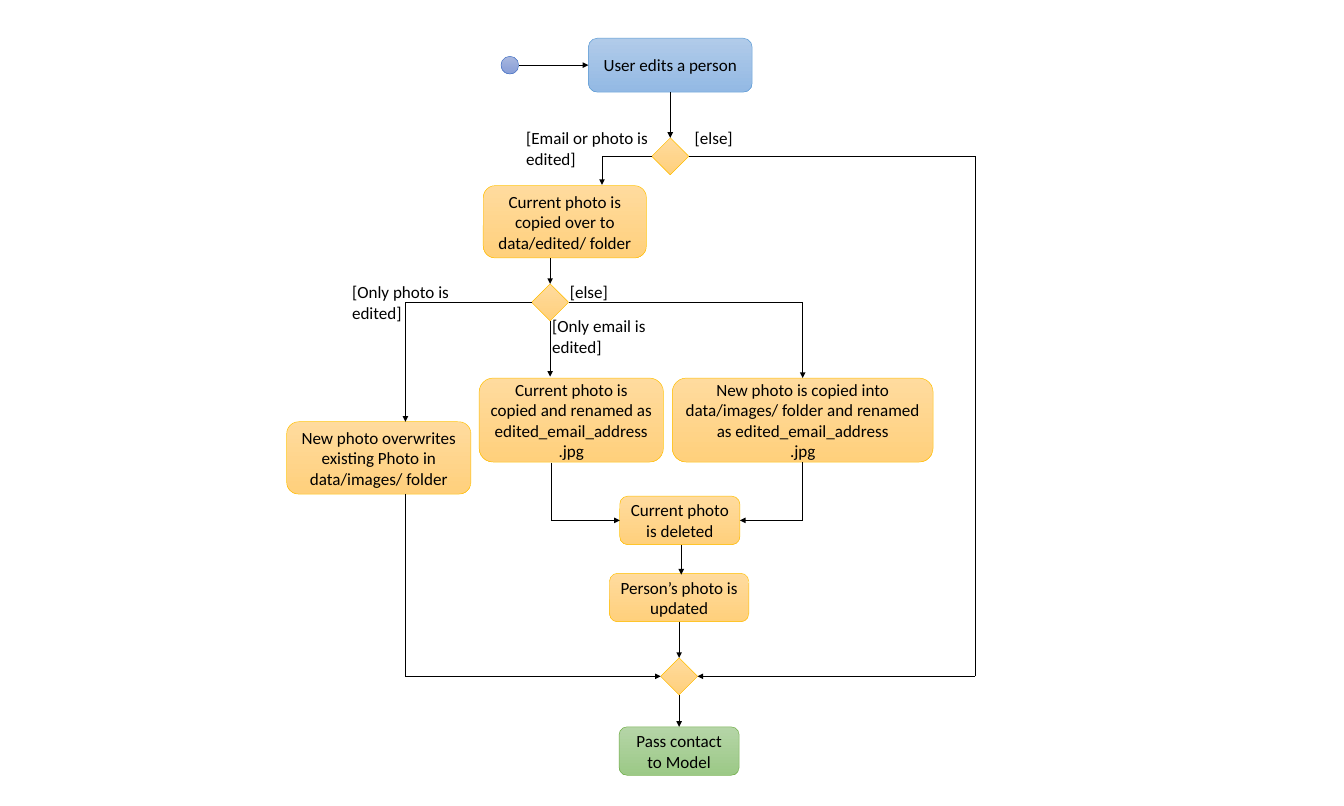
from dataclasses import dataclass

from lxml import etree
from pptx import Presentation
from pptx import util as u
from pptx.dml.color import RGBColor
from pptx.enum import shapes, text
from pptx.oxml.ns import qn

CELL = 0.1  # inches per grid column and row
COLS, ROWS = 196.9, 118.1
FONT, SIZE, LINE = "Calibri", 18, 0.5
BLACK = "000000"
TOP, LEFT, BOTTOM, RIGHT = range(4)
KIND = shapes.MSO_SHAPE


@dataclass(frozen=True)
class Paint:
    upper: str
    lower: str
    edge: str


@dataclass(frozen=True)
class Node:
    key: str
    kind: KIND
    col: float
    row: float
    cols: float
    rows: float
    paint: Paint
    words: str = ""

    def side(self, side: int) -> tuple[float, float]:
        """Give the middle of one side."""
        dx, dy = ((0.5, 0), (0, 0.5), (0.5, 1), (1, 0.5))[side]
        return self.col + dx * self.cols, self.row + dy * self.rows


@dataclass(frozen=True)
class Label:
    col: float
    row: float
    cols: float
    rows: float
    words: str


@dataclass(frozen=True)
class Joint:
    """The middle of one side of a node."""
    key: str
    side: int


Point = tuple[float, float]
Stop = Point | Joint

VIOLET = Paint("A8B7DF", "889ED7", "4472C4")
BLUE = Paint("B1CBE9", "93B9E4", "5B9BD5")
ORANGE = Paint("FFDB9E", "FFD07C", "FFC000")
GREEN = Paint("B5D5A7", "9CC987", "70AD47")


def step(key: str, col: float, row: float, cols: float, rows: float,
         words: str, paint: Paint = ORANGE) -> Node:
    return Node(key, KIND.ROUNDED_RECTANGLE, col, row, cols, rows, paint, words)


def branch(key: str, col: float, row: float) -> Node:
    return Node(key, KIND.DIAMOND, col, row, 5.4, 5.4, ORANGE)


NODES = {node.key: node for node in (
    Node("start", KIND.OVAL, 73.4, 8.25, 2.6, 2.6, VIOLET),
    step("edit", 86.2, 5.6, 24, 7.9, "User edits a person", BLUE),
    branch("any change", 95.5, 20.2),
    step("backup", 70.8, 27.2, 23.9, 10.6,
         "Current photo is copied over to data/edited/ folder"),
    branch("which change", 77.9, 41.6),
    step("overwrite", 42, 61.8, 27, 10.6,
         "New photo overwrites existing Photo in data/images/ folder"),
    step("rename", 70.2, 55.4, 27, 12.3,
         "Current photo is copied and renamed as edited_email_address\n.jpg"),
    step("new photo", 98.5, 55.4, 38.2, 12.3,
         "New photo is copied into data/images/ folder and renamed as "
         "edited_email_address\n.jpg"),
    step("delete", 90.8, 72.7, 17.6, 7.1, "Current photo is deleted"),
    step("update", 89.3, 84, 20.4, 7.1, "Person’s photo is updated"),
    branch("merge", 96.8, 96.4),
    step("pass", 90.7, 106.5, 17.6, 7.1, "Pass contact to Model", GREEN),
)}

LABELS = [
    Label(76.1, 18.2, 20.8, 7.1, "[Email or photo is edited]"),
    Label(100.8, 18.2, 9.3, 4, "[else]"),
    Label(50.6, 40.8, 16.4, 7.1, "[Only photo is edited]"),
    Label(79.9, 45.8, 23.9, 7.1, "[Only email is\nedited]"),
    Label(82.5, 40.8, 8.8, 4, "[else]"),
]

ROUTES: list[list[Stop]] = [
    [(76, 9.55), Joint("edit", LEFT)],
    [Joint("edit", BOTTOM), Joint("any change", TOP)],
    [Joint("any change", LEFT), (88.2, 22.9), (88.2, 27.1)],
    [Joint("any change", RIGHT), (142.9, 22.9), (142.9, 99.1), Joint("merge", RIGHT)],
    [(80.6, 37.8), Joint("which change", TOP)],
    [Joint("which change", LEFT), (59.4, 44.3), (59.4, 61.8)],
    [Joint("which change", BOTTOM), (80.6, 55.2)],
    [Joint("which change", RIGHT), (117.6, 44.3), Joint("new photo", TOP)],
    [(80.7, 67.8), (80.7, 76.25), Joint("delete", LEFT)],
    [Joint("new photo", BOTTOM), (117.6, 76.25), Joint("delete", RIGHT)],
    [(59.4, 72.4), (59.4, 99.1), Joint("merge", LEFT)],
    [(99.8, 79.8), (99.8, 84.2)],
    [Joint("update", BOTTOM), Joint("merge", TOP)],
    [Joint("merge", BOTTOM), Joint("pass", TOP)],
]


def grid(cells: float) -> int:
    return u.Inches(cells * CELL)


def box(item: Node | Label) -> list[int]:
    return [grid(v) for v in (item.col, item.row, item.cols, item.rows)]


def colour(value: str) -> RGBColor:
    return RGBColor.from_string(value)


def write(tf, words: str, align: text.PP_ALIGN) -> None:
    tf.word_wrap = True
    for i, line in enumerate(words.split("\n")):
        p = tf.paragraphs[0] if i == 0 else tf.add_paragraph()
        p.alignment = align
        r = p.add_run()
        r.text = line
        r.font.name, r.font.size = FONT, u.Pt(SIZE)
        r.font.color.rgb = colour(BLACK)


def draw_node(slide, node: Node):
    sp = slide.shapes.add_shape(node.kind, *box(node))
    sp.shadow.inherit = False
    sp.fill.gradient()
    sp.fill.gradient_angle = 270
    for stop, value in zip(sp.fill.gradient_stops, (node.paint.upper, node.paint.lower)):
        stop.color.rgb = colour(value)
    sp.line.color.rgb = colour(node.paint.edge)
    sp.line.width = u.Pt(LINE)
    if node.words:
        sp.text_frame.vertical_anchor = text.MSO_ANCHOR.MIDDLE
        write(sp.text_frame, node.words, text.PP_ALIGN.CENTER)
    return sp


def draw_label(slide, label: Label) -> None:
    tf = slide.shapes.add_textbox(*box(label)).text_frame
    write(tf, label.words, text.PP_ALIGN.LEFT)
    tf.auto_size = text.MSO_AUTO_SIZE.SHAPE_TO_FIT_TEXT


def place(stop: Stop) -> Point:
    return NODES[stop.key].side(stop.side) if isinstance(stop, Joint) else stop


def draw_route(slide, route: list[Stop], drawn: dict) -> None:
    """Draw straight legs from stop to stop, with an arrowhead on the last."""
    for i, (a, b) in enumerate(zip(route, route[1:])):
        ends = [grid(v) for v in (*place(a), *place(b))]
        leg = slide.shapes.add_connector(shapes.MSO_CONNECTOR.STRAIGHT, *ends)
        if isinstance(a, Joint):
            leg.begin_connect(drawn[a.key], a.side)
        if isinstance(b, Joint):
            leg.end_connect(drawn[b.key], b.side)
        leg.line.color.rgb = colour(BLACK)
        leg.line.width = u.Pt(LINE)
        sp_pr = leg._element.spPr
        if i == len(route) - 2:
            etree.SubElement(sp_pr.find(qn("a:ln")), qn("a:tailEnd"), type="triangle")
        etree.SubElement(sp_pr, qn("a:effectLst"))


def main() -> None:
    prs = Presentation()
    prs.slide_width, prs.slide_height = grid(COLS), grid(ROWS)
    slide = prs.slides.add_slide(prs.slide_layouts[6])
    drawn = {key: draw_node(slide, node) for key, node in NODES.items()}
    for route in ROUTES:
        draw_route(slide, route, drawn)
    for label in LABELS:
        draw_label(slide, label)
    prs.save("out.pptx")


if __name__ == "__main__":
    main()
